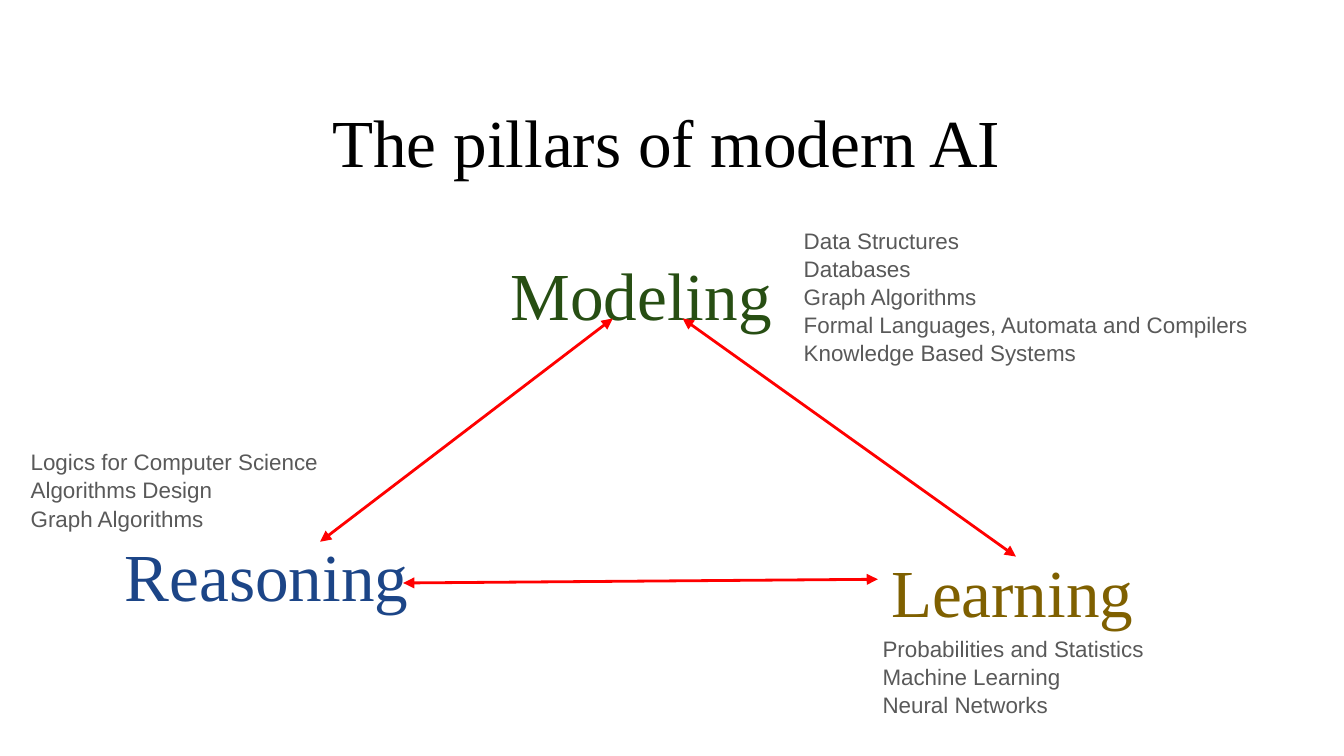
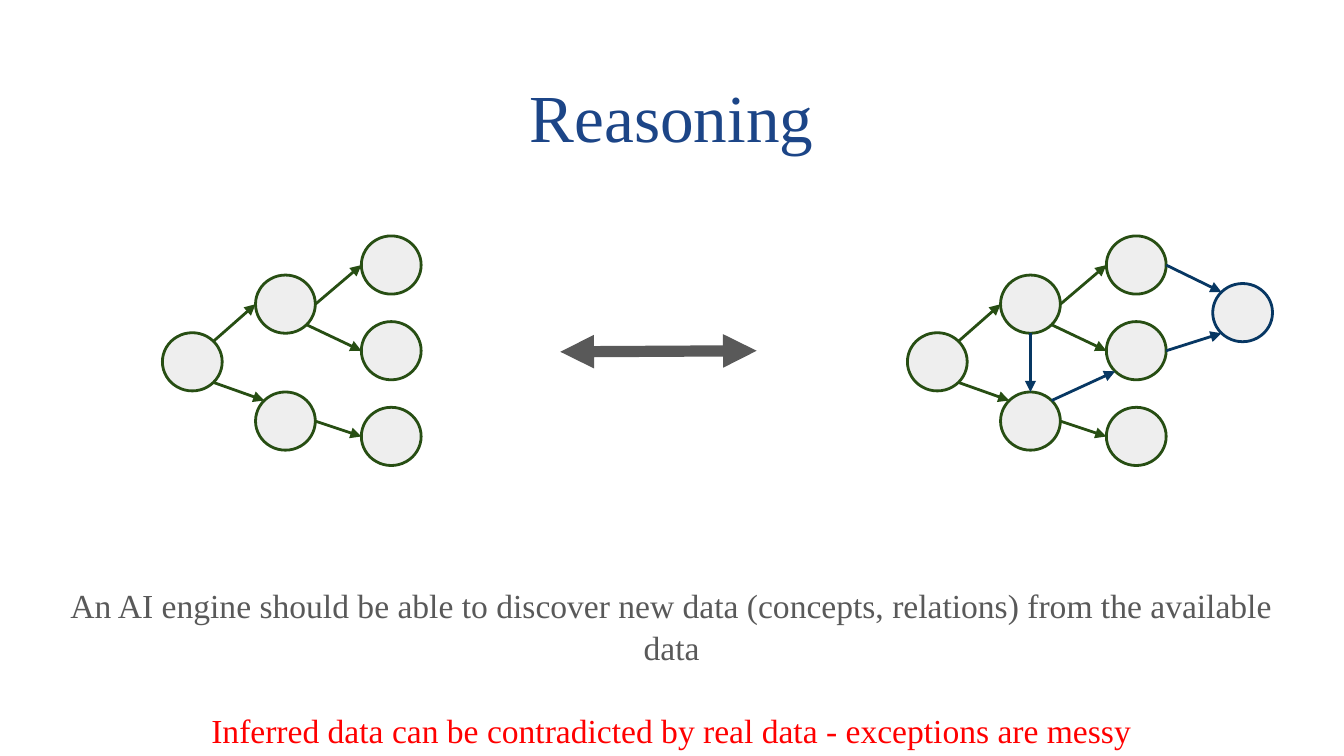
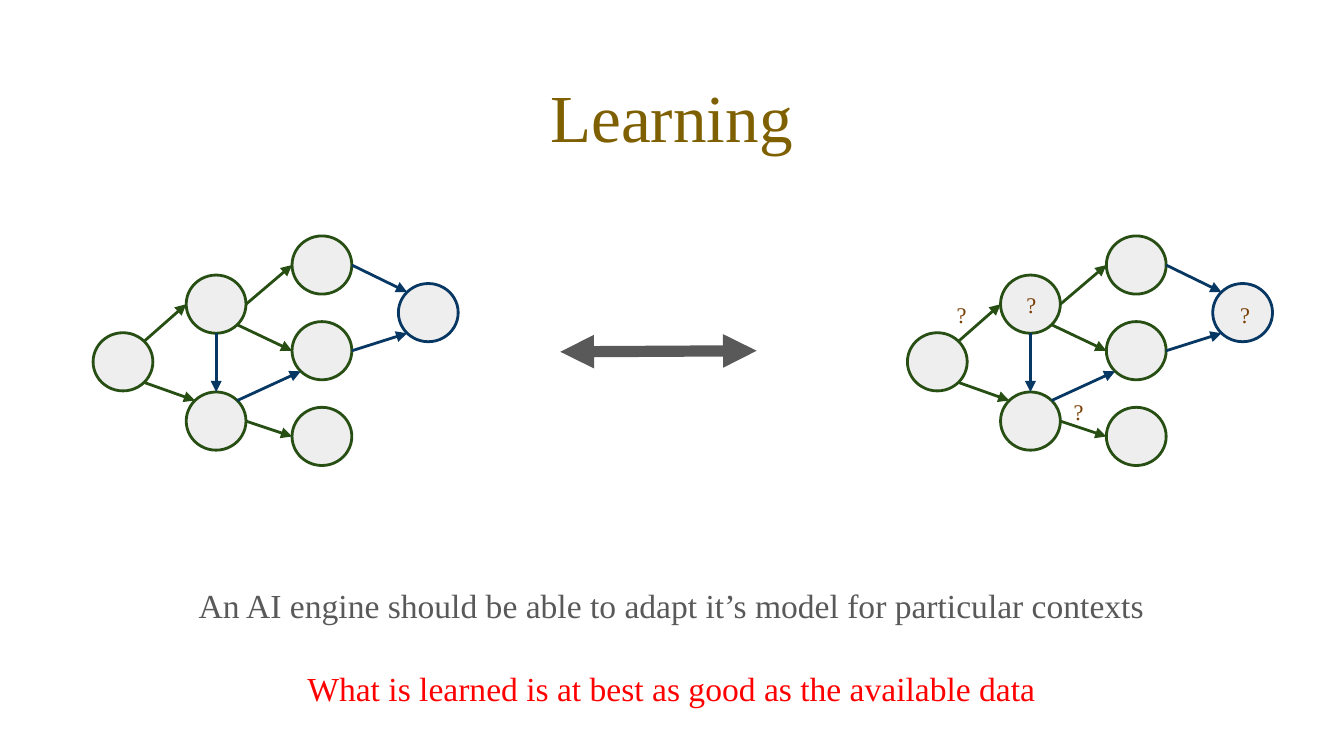
import pptx
import pptx.dml.color
import pptx.enum.shapes
import pptx.enum.text
import pptx.oxml
import pptx.oxml.ns
import pptx.util

Cm = pptx.util.Cm
Pt = pptx.util.Pt
RGB = pptx.dml.color.RGBColor
ALIGN = pptx.enum.text.PP_ALIGN
ANCHOR = pptx.enum.text.MSO_ANCHOR
SHAPE = pptx.enum.shapes.MSO_SHAPE
LINE = pptx.enum.shapes.MSO_CONNECTOR

BLACK = RGB(0x00, 0x00, 0x00)
GRAY = RGB(0x59, 0x59, 0x59)
PALE = RGB(0xEE, 0xEE, 0xEE)
RED = RGB(0xFF, 0x00, 0x00)
GREEN = RGB(0x27, 0x4E, 0x13)
BLUE = RGB(0x1C, 0x45, 0x87)
NAVY = RGB(0x07, 0x37, 0x63)
GOLD = RGB(0x7F, 0x60, 0x00)
BROWN = RGB(0x78, 0x3F, 0x04)
SERIF = "Times New Roman"
SANS = "Arial"

INSET = 0.25
NODE_W, NODE_H = 1.13, 1.1
GRAPH_TOP = 4.46
RIGHT = 17.15
TITLE = (0.86, 1.45, 23.67, 1.75)

NODES = {
    "root": (0, 1.83), "up": (1.76, 0.74), "down": (1.76, 2.95),
    "top": (3.76, 0), "mid": (3.76, 1.62), "low": (3.76, 3.24),
}
EDGES = [
    ("root", "NE", "up", "W"), ("up", "E", "top", "W"),
    ("root", "SE", "down", "NW"), ("up", "SE", "mid", "W"),
    ("down", "E", "low", "W"),
]
NEW_NODES = {"end": (5.77, 0.9)}
NEW_EDGES = [
    ("down", "NE", "mid", "SW"), ("up", "S", "down", "N"),
    ("top", "E", "end", "NW"), ("mid", "E", "end", "SW"),
]
MARKS = [(0.68, 0.95), (2, 0.77), (2.89, 2.8), (6.04, 0.95)]

PILLARS = [
    ("Modeling", GREEN, (9.4, 4.39, 5.51, 1.32), (5.54, -0.38, 9.86),
     ["Data Structures", "Databases", "Graph Algorithms",
      "Formal Languages, Automata and Compilers", "Knowledge Based Systems"]),
    ("Reasoning", BLUE, (2.11, 9.7, 5.97, 2.01), (-1.78, -1.5, 7.52),
     ["Logics for Computer Science", "Algorithms Design", "Graph Algorithms"]),
    ("Learning", GOLD, (16.59, 10.01, 5.26, 1.91), (-0.16, 1.72, 9.86),
     ["Probabilities and Statistics", "Machine Learning", "Neural Networks"]),
]
LINKS = [
    ((6.05, 10.24), (11.58, 6.02)),
    ((7.62, 11.02), (16.59, 10.95)),
    ((12.9, 6.02), (19.2, 10.52)),
]


def style(par, font, size, color):
    """Format the runs of a paragraph."""
    for run in par.runs:
        run.font.name = font
        run.font.size = Pt(size)
        run.font.color.rgb = color


def inset(frame):
    """Wrap a text frame and give it even insets."""
    frame.word_wrap = True
    frame.auto_size = pptx.enum.text.MSO_AUTO_SIZE.NONE
    frame.margin_left = frame.margin_right = Cm(INSET)
    frame.margin_top = frame.margin_bottom = Cm(INSET)


def add_text(slide, box, lines, font, size, color, pitch=1.05):
    """Add a text box with one paragraph a line."""
    frame = slide.shapes.add_textbox(*map(Cm, box)).text_frame
    inset(frame)
    frame.text = "\n".join(lines)
    for par in frame.paragraphs:
        par.line_spacing = pitch
        style(par, font, size, color)
    return frame


def add_title(slide, box, text, color):
    """Place and format the title."""
    title = slide.shapes.title
    title.left, title.top, title.width, title.height = map(Cm, box)
    frame = title.text_frame
    inset(frame)
    frame.vertical_anchor = ANCHOR.BOTTOM
    frame.text = text
    frame.paragraphs[0].alignment = ALIGN.CENTER
    style(frame.paragraphs[0], SERIF, 36, color)


def add_arrow(slide, start, end, color, width=1.5, both=False):
    """Draw a straight arrow with one head or two."""
    arrow = slide.shapes.add_connector(LINE.STRAIGHT, *map(Cm, start + end))
    arrow.line.color.rgb = color
    arrow.line.width = Pt(width)
    for tag in ["a:headEnd", "a:tailEnd"] if both else ["a:tailEnd"]:
        head = pptx.oxml.parse_xml(f'<{tag} {pptx.oxml.ns.nsdecls("a")} type="triangle"/>')
        arrow.line._get_or_add_ln().append(head)
    flat = pptx.oxml.parse_xml(f'<a:effectLst {pptx.oxml.ns.nsdecls("a")}/>')
    arrow._element.spPr.append(flat)


def add_node(slide, left, top, color):
    """Draw one round node."""
    node = slide.shapes.add_shape(SHAPE.OVAL, *map(Cm, (left, top, NODE_W, NODE_H)))
    node.shadow.inherit = False
    node.fill.solid()
    node.fill.fore_color.rgb = PALE
    node.line.color.rgb = color
    node.line.width = Pt(1.5)


def rim(left, top, side):
    """Return the point of a node's rim on a compass side."""
    reach = 0.5 if len(side) == 1 else 0.354
    across = ("E" in side) - ("W" in side)
    along = ("S" in side) - ("N" in side)
    return (left + NODE_W * (0.5 + reach * across),
            top + NODE_H * (0.5 + reach * along))


def add_graph(slide, left, top, grown):
    """Draw the graph, with its inferred part when grown."""
    parts = [(NODES, EDGES, GREEN)]
    if grown:
        parts.append((NEW_NODES, NEW_EDGES, NAVY))
    spots = {}
    for nodes, edges, color in parts:
        for name, (x, y) in nodes.items():
            spots[name] = (left + x, top + y)
            add_node(slide, *spots[name], color)
        for tail, out, head, side in edges:
            add_arrow(slide, rim(*spots[tail], out), rim(*spots[head], side), color)


def add_marks(slide, left, top):
    """Put question marks on a graph."""
    for x, y in MARKS:
        add_text(slide, (left + x, top + y, 0.89, 0.71), ["?"], SERIF, 12, BROWN)


def add_claim(slide, box, claim, limit):
    """Write the claim and its limit in red below."""
    frame = add_text(slide, box, [claim, limit], SERIF, 18, GRAY)
    for par in frame.paragraphs:
        par.alignment = ALIGN.CENTER
    last = frame.paragraphs[1]
    last.space_before = Pt(21.7)
    style(last, SERIF, 18, RED)


def add_pillar(slide, box, word, color, shift, topics):
    """Write a pillar's word and its topics beside it."""
    add_text(slide, box, [word], SERIF, 36, color, 1.1)
    x, y, width = shift
    add_text(slide, (box[0] + x, box[1] + y, width, 2.97), topics, SANS, 12, GRAY)


def new_slide(deck):
    """Add a title-only slide."""
    return deck.slides.add_slide(deck.slide_layouts[5])


def pillar_slide(deck):
    """Build the triangle of pillars."""
    slide = new_slide(deck)
    add_title(slide, (0.76, 2.13, 23.67, 1.55), "The pillars of modern AI", BLACK)
    for word, color, box, shift, topics in PILLARS:
        add_pillar(slide, box, word, color, shift, topics)
    for start, end in LINKS:
        add_arrow(slide, start, end, RED, both=True)


def graph_slide(deck, title, color, left, grown, claim, limit, height):
    """Build a slide that sets two graphs side by side."""
    slide = new_slide(deck)
    add_title(slide, TITLE, title, color)
    add_claim(slide, (0.86, 10.77, 23.67, height), claim, limit)
    add_graph(slide, left, GRAPH_TOP, grown)
    add_arrow(slide, (10.59, 6.65), (14.3, 6.63), GRAY, 6, both=True)
    add_graph(slide, RIGHT, GRAPH_TOP, True)
    return slide


def main():
    """Build and save the deck."""
    deck = pptx.Presentation()
    deck.slide_width, deck.slide_height = Cm(25.4), Cm(14.29)
    pillar_slide(deck)
    graph_slide(
        deck, "Reasoning", BLUE, 3.07, False,
        "An AI engine should be able to discover new data (concepts, relations) "
        "from the available data",
        "Inferred data can be contradicted by real data - exceptions are messy", 3.53)
    slide = graph_slide(
        deck, "Learning", GOLD, 1.76, True,
        "An AI engine should be able to adapt it’s model for particular contexts",
        "What is learned is at best as good as the available data", 3.1)
    add_marks(slide, RIGHT, GRAPH_TOP)
    deck.save("out.pptx")


if __name__ == "__main__":
    main()
